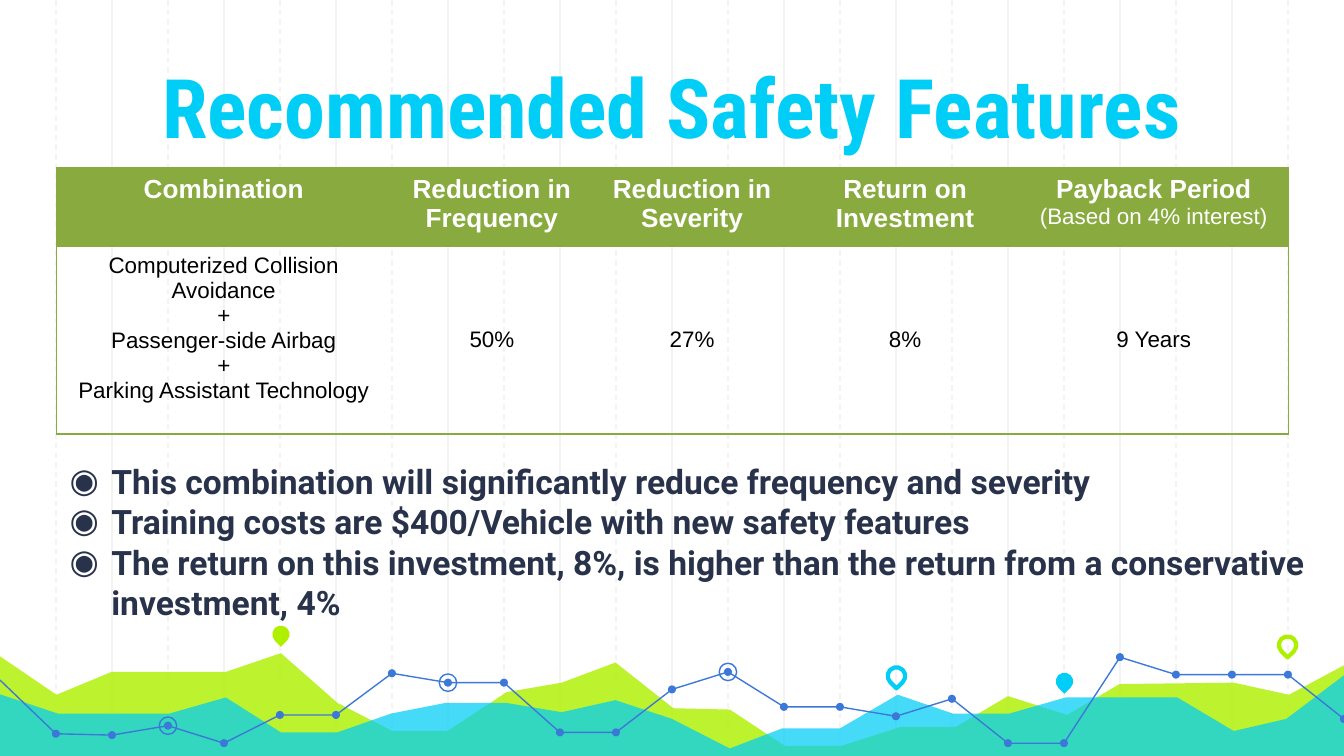
import dataclasses
import typing

import lxml.etree
import pptx
import pptx.dml.color
import pptx.enum.dml
import pptx.enum.shapes
import pptx.enum.text
import pptx.oxml.ns
import pptx.util

Inches = pptx.util.Inches
Pt = pptx.util.Pt
Shapes = pptx.enum.shapes.MSO_SHAPE
Align = pptx.enum.text.PP_ALIGN
Anchor = pptx.enum.text.MSO_ANCHOR
qn = pptx.oxml.ns.qn
Point = tuple[float, float]

LIME, CYAN, BLUE, OLIVE, NAVY = "AFF000", "00CEF6", "3C78D8", "89AA3E", "28324A"
WHITE, BLACK, GRID = "FFFFFF", "000000", "F3F3F3"
SLIDE_WIDTH = 10
SLIDE_HEIGHT = SLIDE_WIDTH * 9 / 16
STEP = SLIDE_WIDTH / 24  # distance between grid lines
NO_STYLE_NO_GRID = "{2D5ABB26-0587-4C30-8999-92F81FD0307C}"


@dataclasses.dataclass
class Area:
    color: str
    opacity: int
    points: list[Point]


@dataclasses.dataclass
class Marker:
    preset: typing.Any
    x: float
    y: float
    size: float
    fill: str | None = None
    line: str | None = None
    width: float = 0.75
    rotation: float = 0


@dataclasses.dataclass
class Column:
    width: float
    heading: str
    body: str


def rgb(color: str) -> pptx.dml.color.RGBColor:
    return pptx.dml.color.RGBColor.from_string(color)


def add_xml(parent, tag: str, **attributes: str):
    return lxml.etree.SubElement(parent, qn(tag), attributes)


def paint(shape, fill: str | None, line: str | None, width: float = 0.75) -> None:
    shape.shadow.inherit = False
    for part, color in ((shape.fill, fill), (shape.line.fill, line)):
        if color:
            part.solid()
            part.fore_color.rgb = rgb(color)
        else:
            part.background()
    if line:
        shape.line.width = Pt(width)


def set_font(paragraph, name: str, size: float, color: str, bold: bool) -> None:
    font = paragraph.font
    font.name, font.size, font.bold = name, Pt(size), bold
    font.color.rgb = rgb(color)


def set_insets(frame) -> None:
    frame.margin_left = frame.margin_right = Inches(0.1)
    frame.margin_top = frame.margin_bottom = Inches(0.1)
    frame.word_wrap = True


def add_path(shapes, points: list[Point], close: bool):
    corners = [(Inches(x), Inches(y)) for x, y in points]
    builder = shapes.build_freeform(*corners[0])
    builder.add_line_segments(corners[1:], close=close)
    return builder.convert_to_shape()


def add_grid_line(shapes, index: int) -> None:
    x = Inches(index * STEP)
    line = shapes.add_connector(
        pptx.enum.shapes.MSO_CONNECTOR.STRAIGHT, x, 0, x, Inches(SLIDE_HEIGHT))
    line.line.color.rgb = rgb(GRID)
    line.line.width = Pt(0.75)
    if index % 2:
        line.line.dash_style = pptx.enum.dml.MSO_LINE.DASH
    add_xml(line.element.spPr, "a:effectLst")


def add_area(shapes, area: Area) -> None:
    shape = add_path(shapes, area.points, True)
    paint(shape, area.color, None)
    color = shape.element.spPr.find(qn("a:solidFill"))[0]
    add_xml(color, "a:alpha", val=str(area.opacity * 1000))


def add_marker(shapes, marker: Marker) -> None:
    shape = shapes.add_shape(
        marker.preset, Inches(marker.x - marker.size / 2), Inches(marker.y - marker.size / 2),
        Inches(marker.size), Inches(marker.size))
    shape.rotation = marker.rotation
    paint(shape, marker.fill, marker.line, marker.width)


def fill_cell(cell, text: str, size: float, color: str, bold: bool, edges: str) -> None:
    cell.text_frame.text = text
    for paragraph in cell.text_frame.paragraphs:
        paragraph.alignment = Align.CENTER
        set_font(paragraph, "Arial", size, color, bold)
    properties = cell._tc.get_or_add_tcPr()
    for edge in edges:
        border = add_xml(properties, f"a:ln{edge}", w=str(Pt(0.75)))
        add_xml(add_xml(border, "a:solidFill"), "a:srgbClr", val=OLIVE)


deck = pptx.Presentation()
deck.slide_width, deck.slide_height = Inches(SLIDE_WIDTH), Inches(SLIDE_HEIGHT)
slide = deck.slides.add_slide(deck.slide_layouts[5])
shapes = slide.shapes

# Background grid: solid and dashed lines alternate
for index in range(1, 24):
    add_grid_line(shapes, index)

# Translucent areas
areas = [
    Area(LIME, 82, [
        (-0.02, 4.87), (0.42, 5.17), (0.83, 5), (1.68, 5), (2.09, 4.86), (2.51, 5.23),
        (2.92, 5.44), (3.33, 5.44), (3.77, 5.15), (4.18, 5.08), (4.58, 4.93), (5.01, 5.27),
        (5.43, 5.28), (5.84, 5.55), (6.26, 5.55), (6.7, 5.41), (7.11, 5.41), (7.5, 5.18),
        (7.94, 5.32), (8.33, 5.09), (9.18, 5.08), (9.59, 5.17), (10.02, 4.94),
        (10.02, 5.64), (-0.03, 5.64)]),
    Area(CYAN, 73, [
        (-0.02, 5.16), (0.43, 5.31), (1.26, 5.31), (1.68, 5.19), (2.09, 5.45), (2.51, 5.45),
        (2.91, 5.31), (3.32, 5.23), (3.76, 5.23), (4.18, 5.3), (4.58, 5.21), (5, 5.35),
        (5.43, 5.57), (5.82, 5.42), (6.25, 5.42), (6.68, 5.17), (7.09, 5.31), (7.51, 5.31),
        (7.93, 5.19), (8.76, 5.19), (9.18, 5.44), (9.57, 5.35), (10.02, 5.01),
        (10.02, 5.65), (-0.03, 5.65)]),
]
for area in areas:
    add_area(shapes, area)

# Trend line in three stretches, with a dot on every grid line
trend_heights = [
    5.06, 5.46, 5.47, 5.4, 5.53, 5.32, 5.32, 5.01, 5.08, 5.08, 5.45, 5.45, 5.13,
    5, 5.26, 5.26, 5.33, 5.2, 5.53, 5.53, 4.89, 5.02, 5.02, 5.02, 5.35]
trend = [(index * STEP, y) for index, y in enumerate(trend_heights)]
for first, last in ((0, 11), (11, 20), (20, 24)):
    paint(add_path(shapes, trend[first:last + 1], False), None, BLUE)

dots = [Marker(Shapes.OVAL, x, y, 0.06, fill=BLUE) for x, y in trend[1:]]
rings = [Marker(Shapes.OVAL, *trend[index], 0.13, line=BLUE) for index in (3, 8, 13)]
pins = [
    Marker(Shapes.TEAR, x, y, 0.13, fill, line, 2.25, 135)
    for x, y, fill, line in (
        (2.09, 4.72, LIME, None), (6.67, 5.03, None, CYAN),
        (7.92, 5.07, CYAN, None), (9.58, 4.8, None, LIME))]
for marker in dots + rings + pins:
    add_marker(shapes, marker)

# Title, brought in front of the grid
title = shapes.title
title.left, title.top, title.width, title.height = 0, Inches(-0.02), Inches(10), Inches(1.27)
title.element.getparent().append(title.element)
heading = title.text_frame
heading.text = "Recommended Safety Features"
heading.auto_size = pptx.enum.text.MSO_AUTO_SIZE.NONE
heading.vertical_anchor = Anchor.BOTTOM
set_insets(heading)
heading.paragraphs[0].alignment = Align.CENTER
set_font(heading.paragraphs[0], "Roboto Condensed", 44, CYAN, True)

# Table of the recommended combination; \v breaks a line within a paragraph
columns = [
    Column(2.49, "Combination",
           "Computerized Collision Avoidance\v+\vPassenger-side Airbag\n+\nParking Assistant Technology"),
    Column(1.5, "Reduction in Frequency", "50%"),
    Column(1.48, "Reduction in Severity", "27%"),
    Column(1.69, "Return on Investment", "8%"),
    Column(2.01, "Payback Period\n(Based on 4% interest)", "9 Years"),
]
table = shapes.add_table(2, len(columns), Inches(0.42), Inches(1.25), Inches(9.17), Inches(1.98)).table
table._tbl.tblPr.find(qn("a:tableStyleId")).text = NO_STYLE_NO_GRID
table.rows[0].height, table.rows[1].height = Inches(0.58), Inches(1.4)
for index, column in enumerate(columns):
    table.columns[index].width = Inches(column.width)
    sides = {0: "L", len(columns) - 1: "R"}.get(index, "")
    header, body = table.cell(0, index), table.cell(1, index)
    fill_cell(header, column.heading, 14, WHITE, True, sides + "T")
    header.fill.solid()
    header.fill.fore_color.rgb = rgb(OLIVE)
    fill_cell(body, column.body, 12, BLACK, False, sides + "TB")
    body.fill.background()
    body.vertical_anchor = Anchor.MIDDLE
table.cell(1, 0).margin_bottom = Inches(0.23)
set_font(table.cell(0, 4).text_frame.paragraphs[1], "Arial", 12, WHITE, False)

# Conclusions
conclusions = shapes.add_textbox(Inches(0.42), Inches(3.33), Inches(9.58), Inches(1.6)).text_frame
set_insets(conclusions)
conclusions.text = "\n".join((
    "This combination will significantly reduce frequency and severity",
    "Training costs are $400/Vehicle with new safety features",
    "The return on this investment, 8%, is higher than the return from a conservative investment, 4%"))
for paragraph in conclusions.paragraphs:
    indent = paragraph._p.get_or_add_pPr()
    indent.set("marL", str(Inches(0.31)))
    indent.set("indent", str(Inches(-0.31)))
    add_xml(add_xml(indent, "a:buClr"), "a:srgbClr", val=NAVY)
    add_xml(indent, "a:buFont", typeface="Roboto")
    add_xml(indent, "a:buChar", char="◉")
    set_font(paragraph, "Roboto", 18, NAVY, True)

deck.save("out.pptx")
